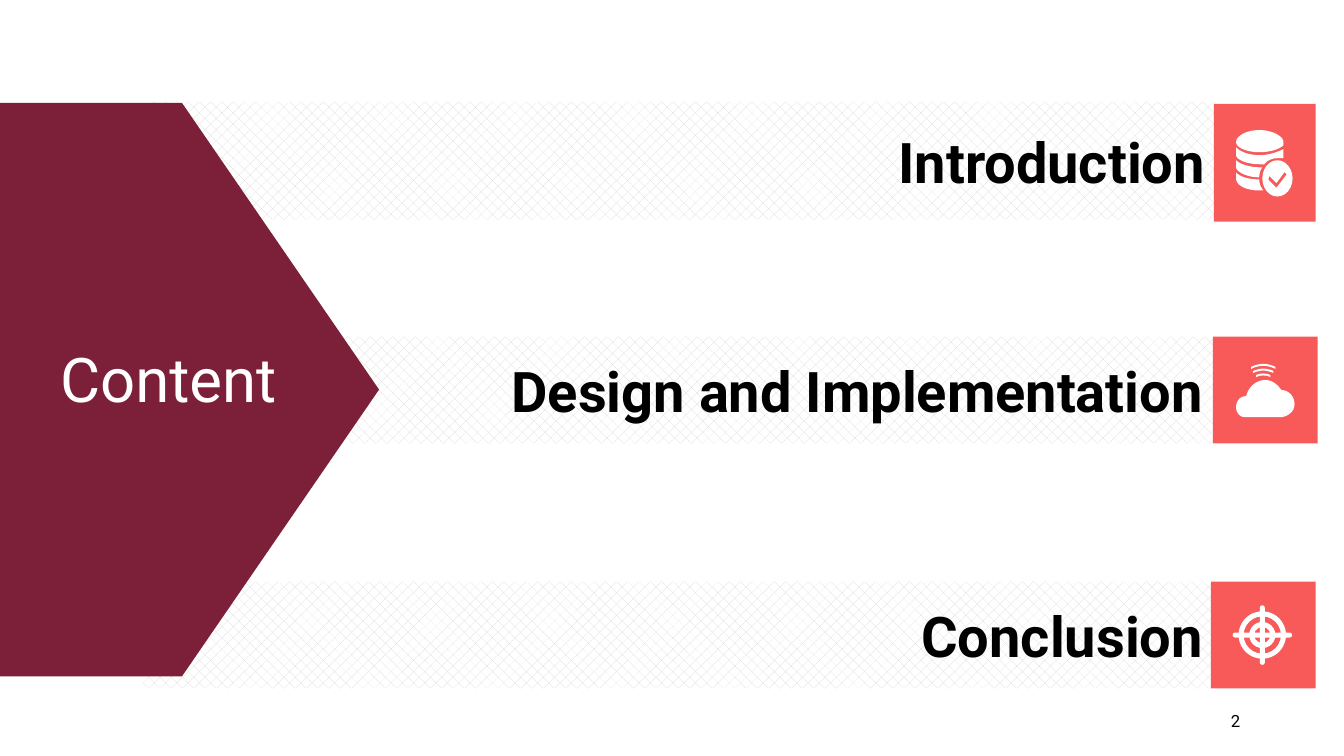
from pptx import Presentation
from pptx.dml.color import RGBColor
from pptx.enum.dml import MSO_PATTERN
from pptx.enum.shapes import MSO_SHAPE as Preset
from pptx.enum.text import MSO_ANCHOR as Anchor, PP_ALIGN as Align
from pptx.util import Inches, Pt

FONT = "Roboto"
WHITE, BLACK, HATCH = "FFFFFF", "000000", "D9D9D9"
WINE, CORAL = "7C203A", "F85959"

# Title, band (left, top, width, height), icon tile (left, top, width, height)
TOPICS = [
    ("Design and Implementation", (2.22, 3.34, 9.81, 1.06), (12.03, 3.34, 1.04, 1.06)),
    ("Introduction", (1.42, 1.01, 10.63, 1.17), (12.04, 1.03, 1.01, 1.17)),
    ("Conclusion", (1.42, 5.77, 10.61, 1.06), (12.01, 5.77, 1.04, 1.06)),
]
ARROW = (0, 1.02, 3.76, 5.69)
HEADING = ("Content", (-0.54, 3.38, 4.42, 0.74))
PAGE_NUMBER = ("2", (9.4, 6.95, 3, 0.4))

# Outlines: a start point, then lines (x, y) or curves (x1, y1, x2, y2, x, y)
CLOUD = [
    (12.71, 3.87), (12.67, 3.81, 12.61, 3.77, 12.55, 3.77),
    (12.46, 3.77, 12.38, 3.84, 12.36, 3.93), (12.3, 3.93, 12.26, 3.98, 12.26, 4.04),
    (12.26, 4.09, 12.29, 4.12, 12.31, 4.13), (12.33, 4.14, 12.36, 4.14, 12.36, 4.14),
    (12.71, 4.14), (12.71, 4.14, 12.84, 4.12, 12.84, 4.01),
    (12.84, 3.93, 12.78, 3.87, 12.71, 3.87),
]
DISKS = [
    [(12.49, 1.51), (12.6, 1.51, 12.69, 1.48, 12.73, 1.44), (12.73, 1.41),
     (12.73, 1.35, 12.62, 1.29, 12.49, 1.29), (12.36, 1.29, 12.26, 1.35, 12.26, 1.41),
     (12.26, 1.46, 12.36, 1.51, 12.49, 1.51)],
    [(12.49, 1.63), (12.54, 1.63), (12.57, 1.59, 12.62, 1.57, 12.67, 1.57),
     (12.73, 1.57), (12.73, 1.48), (12.67, 1.51, 12.58, 1.54, 12.49, 1.54),
     (12.4, 1.54, 12.3, 1.51, 12.26, 1.46), (12.26, 1.54),
     (12.26, 1.58, 12.36, 1.63, 12.49, 1.63)],
    [(12.49, 1.76), (12.49, 1.72, 12.5, 1.69, 12.52, 1.66), (12.49, 1.66),
     (12.4, 1.66, 12.3, 1.63, 12.26, 1.59), (12.26, 1.66),
     (12.26, 1.7, 12.36, 1.76, 12.49, 1.76)],
    [(12.49, 1.78), (12.4, 1.78, 12.3, 1.76, 12.26, 1.71), (12.26, 1.77),
     (12.26, 1.84, 12.36, 1.89, 12.49, 1.89), (12.53, 1.89),
     (12.51, 1.86, 12.49, 1.83, 12.49, 1.78)],
]
BADGE = (12.52, 1.59, 0.3, 0.36)
CHECK = [(12.76, 1.73), (12.66, 1.86), (12.58, 1.78), (12.59, 1.75),
         (12.66, 1.82), (12.74, 1.71)]
WAVES = [(0.12, 3.65, 0.05), (0.1, 3.69, 0.04), (0.07, 3.73, 0.03)]  # half width, foot, rise
WAVE_CENTER, WAVE_BAND = 12.53, 0.02
TARGET_CENTER = (12.52, 6.3)
TARGET_RINGS = [0.47, 0.26]
TARGET_LINE, TARGET_SPAN = 0.05, 0.59


def color(hex_string):
    return RGBColor.from_string(hex_string)


def paint(shape, fill):
    shape.shadow.inherit = False
    shape.fill.solid()
    shape.fill.fore_color.rgb = color(fill)
    shape.line.fill.background()
    return shape


def add_preset(shapes, preset, place, fill):
    return paint(shapes.add_shape(preset, *map(Inches, place)), fill)


def write(shape, text, size, ink, align, anchor, bold=False):
    frame = shape.text_frame
    frame.word_wrap = True
    frame.vertical_anchor = anchor
    frame.text = text
    para = frame.paragraphs[0]
    para.alignment = align
    font = para.runs[0].font
    font.name, font.size, font.bold = FONT, Pt(size), bold
    font.color.rgb = color(ink)


def flatten(outline, steps=10):
    """Return the outline as points, with each cubic curve cut into short lines."""
    points = [outline[0]]
    for part in outline[1:]:
        if len(part) == 2:
            points.append(part)
            continue
        x0, y0 = points[-1]
        x1, y1, x2, y2, x3, y3 = part
        for step in range(1, steps + 1):
            t = step / steps
            a, b, c, d = (1 - t) ** 3, 3 * t * (1 - t) ** 2, 3 * t * t * (1 - t), t ** 3
            points.append((a * x0 + b * x1 + c * x2 + d * x3,
                           a * y0 + b * y1 + c * y2 + d * y3))
    return points


def add_outline(shapes, outline, fill):
    points = [(x * 1000, y * 1000) for x, y in flatten(outline)]
    builder = shapes.build_freeform(*points[0], scale=Inches(1) / 1000)
    builder.add_line_segments(points[1:], close=True)
    paint(builder.convert_to_shape(), fill)


def draw_cloud(shapes):
    add_outline(shapes, CLOUD, WHITE)
    for half, foot, rise in WAVES:
        left, right = WAVE_CENTER - half, WAVE_CENTER + half
        inner_left, inner_right = WAVE_CENTER - half / 3, WAVE_CENTER + half / 3
        top, base = foot - rise, foot + WAVE_BAND / 2
        add_outline(shapes, [
            (left, foot - WAVE_BAND / 2),
            (inner_left, top, inner_right, top, right, foot - WAVE_BAND / 2),
            (right, base),
            (inner_right, top + WAVE_BAND, inner_left, top + WAVE_BAND, left, base),
        ], WHITE)


def draw_database(shapes):
    for disk in DISKS:
        add_outline(shapes, disk, WHITE)
    add_preset(shapes, Preset.OVAL, BADGE, WHITE)
    add_outline(shapes, CHECK, CORAL)


def draw_target(shapes):
    x, y = TARGET_CENTER
    for size in TARGET_RINGS:
        ring = add_preset(shapes, Preset.DONUT, (x - size / 2, y - size / 2, size, size), WHITE)
        ring.adjustments[0] = TARGET_LINE / size
    for width, height in [(TARGET_SPAN, TARGET_LINE), (TARGET_LINE, TARGET_SPAN)]:
        place = (x - width / 2, y - height / 2, width, height)
        bar = add_preset(shapes, Preset.ROUNDED_RECTANGLE, place, WHITE)
        bar.adjustments[0] = 0.5


deck = Presentation()
deck.slide_width, deck.slide_height = Inches(13.33), Inches(7.5)
page = deck.slides.add_slide(deck.slide_layouts[6])

for title, band_place, _ in TOPICS:
    band = add_preset(page.shapes, Preset.RECTANGLE, band_place, WHITE)
    band.fill.patterned()
    band.fill.pattern = MSO_PATTERN.PERCENT_25
    band.fill.fore_color.rgb = color(HATCH)
    band.fill.back_color.rgb = color(WHITE)
    write(band, title, 40, BLACK, Align.RIGHT, Anchor.MIDDLE, bold=True)

arrow = add_preset(page.shapes, Preset.PENTAGON, ARROW, WINE)
arrow.adjustments[0] = 0.52

for (_, _, tile_place), draw_icon in zip(TOPICS, [draw_cloud, draw_database, draw_target]):
    icon = page.shapes.add_group_shape()
    add_preset(icon.shapes, Preset.RECTANGLE, tile_place, CORAL)
    draw_icon(icon.shapes)

number, number_place = PAGE_NUMBER
box = page.shapes.add_textbox(*map(Inches, number_place))
write(box, number, 12, BLACK, Align.RIGHT, Anchor.MIDDLE)

heading, heading_place = HEADING
box = page.shapes.add_textbox(*map(Inches, heading_place))
write(box, heading, 44, WHITE, Align.CENTER, Anchor.TOP)
frame = box.text_frame
frame.margin_left = frame.margin_right = frame.margin_top = frame.margin_bottom = 0

deck.save("out.pptx")
